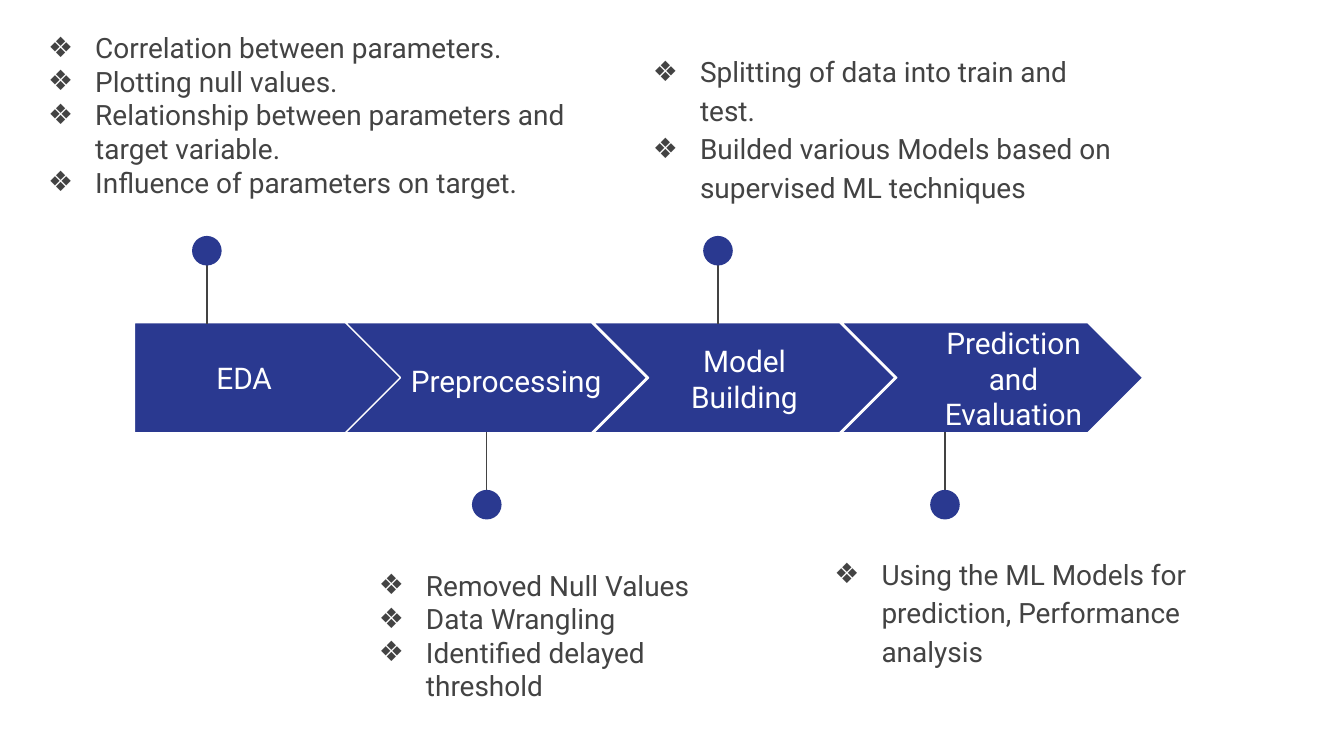
import pptx
import pptx.dml.color
import pptx.enum.shapes
import pptx.enum.text
import pptx.oxml
import pptx.oxml.ns
import pptx.util
from pptx.util import Cm

THEME = {
    "font": "Roboto",
    "blue": "2A3990",
    "grey": "434343",
    "white": "FFFFFF",
    "label_size": 16,
    "list_size": 15,
    "line_width": 0.75,
}

STEPS = [
    {
        "label": "EDA",
        "label_area": (2.34, 6.48, 4.55, 1.3),
        "stem_x": 3.91,
        "side": -1,
        "list_area": (0.28, 0.33, 10.72, 5.56),
        "line_spacing": 1.0,
        "points": [
            "Correlation between parameters.",
            "Plotting null values.",
            "Relationship between parameters and target variable.",
            "Influence of parameters on target.",
        ],
    },
    {
        "label": "Preprocessing",
        "label_area": (7.42, 6.55, 4.29, 1.3),
        "stem_x": 9.2,
        "side": 1,
        "list_area": (6.53, 10.49, 7.67, 3.05),
        "line_spacing": 1.0,
        "points": ["Removed Null Values", "Data Wrangling", "Identified delayed threshold"],
    },
    {
        "label": "Model Building",
        "label_area": (12.24, 6.5, 3.66, 1.3),
        "stem_x": 13.57,
        "side": -1,
        "list_area": (11.71, 0.69, 9.88, 3.78),
        "line_spacing": 1.15,
        "points": [
            "Splitting of data into train and test.",
            "Builded various Models based on supervised ML techniques",
        ],
    },
    {
        "label": "Prediction and Evaluation",
        "label_area": (17.15, 6.5, 4.01, 1.3),
        "stem_x": 17.86,
        "side": 1,
        "list_area": (15.14, 10.19, 9.47, 2.51),
        "line_spacing": 1.15,
        "points": ["Using the ML Models for prediction, Performance analysis"],
    },
]

BAND_MIDDLE, BAND_HEIGHT = 7.14, 2.08
FIRST_LEFT, FIRST_WIDTH = 2.54, 5.21
CHEVRON_LEFT, CHEVRON_WIDTH, CHEVRON_STEP = 6.53, 5.69, 4.69
STEM_NEAR, STEM_FAR = 1.02, 2.57
DOT_OFFSET, DOT_SIZE = 2.4, 0.56


def color(name):
    return pptx.dml.color.RGBColor.from_string(THEME[name])


def apply_format(target, values):
    for name, value in values.items():
        setattr(target, name, value)


def place(box, area):
    apply_format(box, dict(zip(("left", "top", "width", "height"), map(Cm, area))))


def prepare_frame(frame, anchor):
    margins = ("margin_left", "margin_right", "margin_top", "margin_bottom")
    apply_format(frame, {name: Cm(0.25) for name in margins})
    apply_format(frame, {
        "word_wrap": True,
        "auto_size": pptx.enum.text.MSO_AUTO_SIZE.NONE,
        "vertical_anchor": anchor,
    })


def write(para, text, size, color_name):
    span = para.add_run()
    span.text = text
    apply_format(span.font, {
        "name": THEME["font"], "size": pptx.util.Pt(THEME[size]), "bold": False,
    })
    span.font.color.rgb = color(color_name)


def add_bullet(para):
    properties = para._p.get_or_add_pPr()
    properties.set("marL", str(Cm(1.27)))
    properties.set("indent", str(Cm(-0.89)))
    namespace = pptx.oxml.ns.nsdecls("a")
    for markup in (
        f'<a:buClr {namespace}><a:srgbClr val="{THEME["grey"]}"/></a:buClr>',
        f'<a:buFont {namespace} typeface="{THEME["font"]}"/>',
        f'<a:buChar {namespace} char="❖"/>',
    ):
        properties.append(pptx.oxml.parse_xml(markup))


def fill_list(box, step):
    place(box, step["list_area"])
    frame = box.text_frame
    prepare_frame(frame, pptx.enum.text.MSO_ANCHOR.TOP)
    for index, point in enumerate(step["points"]):
        para = frame.add_paragraph() if index else frame.paragraphs[0]
        add_bullet(para)
        apply_format(para, {
            "alignment": pptx.enum.text.PP_ALIGN.LEFT,
            "space_before": pptx.util.Pt(0),
            "line_spacing": step["line_spacing"],
        })
        write(para, point, "list_size", "grey")


def add_blue_shape(page, kind, area):
    shape = page.shapes.add_shape(kind, *map(Cm, area))
    shape.shadow.inherit = False
    shape.fill.solid()
    shape.fill.fore_color.rgb = color("blue")
    return shape


def add_arrow(page, index):
    kinds = pptx.enum.shapes.MSO_SHAPE
    kind = kinds.CHEVRON if index else kinds.PENTAGON
    left = CHEVRON_LEFT + (index - 1) * CHEVRON_STEP if index else FIRST_LEFT
    width = CHEVRON_WIDTH if index else FIRST_WIDTH
    arrow = add_blue_shape(page, kind, (left, BAND_MIDDLE - BAND_HEIGHT / 2, width, BAND_HEIGHT))
    arrow.adjustments[0] = 0.5
    arrow.line.color.rgb = color("white")
    arrow.line.width = pptx.util.Pt(THEME["line_width"])


def add_label(page, step):
    box = page.shapes.add_textbox(*map(Cm, step["label_area"]))
    prepare_frame(box.text_frame, pptx.enum.text.MSO_ANCHOR.MIDDLE)
    para = box.text_frame.paragraphs[0]
    para.alignment = pptx.enum.text.PP_ALIGN.CENTER
    write(para, step["label"], "label_size", "white")


def add_pin(page, step):
    x, side = step["stem_x"], step["side"]
    far, near = (BAND_MIDDLE + side * offset for offset in (STEM_FAR, STEM_NEAR))
    stem = page.shapes.add_connector(
        pptx.enum.shapes.MSO_CONNECTOR.STRAIGHT, Cm(x), Cm(far), Cm(x), Cm(near))
    stem.line.color.rgb = color("grey")
    stem.line.width = pptx.util.Pt(THEME["line_width"])
    stem._element.spPr.append(
        pptx.oxml.parse_xml(f'<a:effectLst {pptx.oxml.ns.nsdecls("a")}/>'))
    dot_top = BAND_MIDDLE + side * DOT_OFFSET - DOT_SIZE / 2
    dot = add_blue_shape(
        page, pptx.enum.shapes.MSO_SHAPE.OVAL, (x - DOT_SIZE / 2, dot_top, DOT_SIZE, DOT_SIZE))
    dot.line.fill.background()


def main():
    deck = pptx.Presentation()
    deck.slide_width, deck.slide_height = Cm(25.4), Cm(14.29)
    page = deck.slides.add_slide(deck.slide_layouts.get_by_name("Comparison"))
    title, *list_boxes = page.placeholders
    title._element.getparent().remove(title._element)
    for index, (step, box) in enumerate(zip(STEPS, list_boxes)):
        fill_list(box, step)
        add_arrow(page, index)
    for step in STEPS:
        add_label(page, step)
        add_pin(page, step)
    deck.save("out.pptx")


if __name__ == "__main__":
    main()
